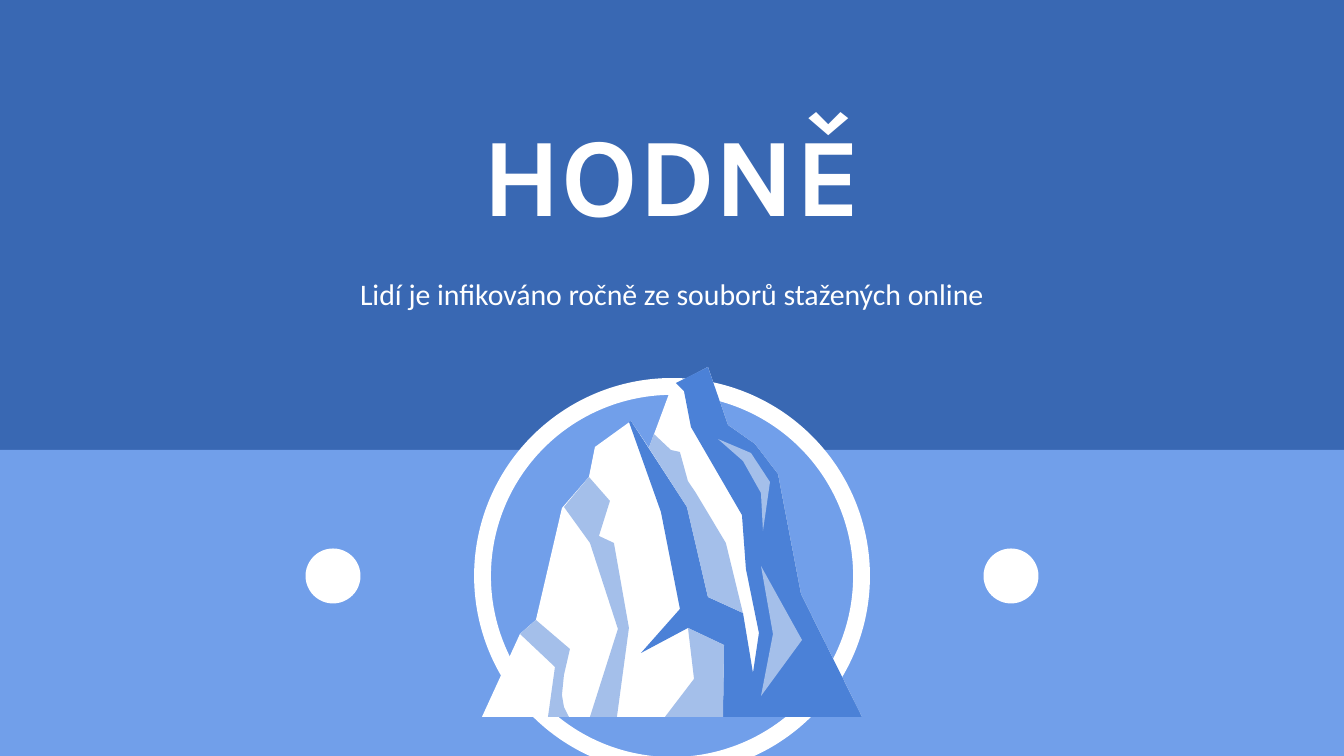
import pptx
import pptx.util
from pptx.dml.color import RGBColor
from pptx.enum.shapes import MSO_SHAPE
from pptx.enum.text import MSO_ANCHOR, MSO_AUTO_SIZE, PP_ALIGN

THEME = {
    "deep": "3968B3", "water": "719FEA", "snow": "FFFFFF",
    "shade": "A4BFEA", "rock": "4B81D7",
    "title": {"name": "Karla", "size": pptx.util.Pt(60), "bold": True},
    "subtitle": {"name": "Calibri", "size": pptx.util.Pt(16), "bold": False},
    "ring": pptx.util.Pt(9),
}
WIDTH, HEIGHT = 1344, 756
SCALE = 9144000 / WIDTH

TITLE = ("HODNĚ", (204, 93, 936, 157))
SUBTITLE = ("Lidí je infikováno ročně ze souborů stažených online",
            (204, 262, 936, 69))
WATERLINE = 450
RING_CENTER, RING_SIZE = (672, 576), 379
DOT_OFFSET, DOT_SIZE = 339, 55

EAST_RIDGE = [(862, 717), (801, 594), (778, 474), (755, 444), (728, 425)]
FACETS = [
    ("snow", [(708, 367), (672, 386), (649, 448), (631, 421), (595, 447),
              (589, 477), (562, 508), (536, 620), (520, 634), (482, 717)]
     + EAST_RIDGE),
    ("shade", [(536, 620), (520, 634), (555, 667), (548, 717), (569, 717),
               (564, 707), (562, 695), (564, 675), (570, 649)]),
    ("shade", [(589, 477), (564, 507), (590, 543), (618, 629), (590, 717),
               (617, 717), (629, 628), (614, 543), (599, 536), (610, 501)]),
    ("rock", [(708, 367), (676, 383), (684, 391), (691, 427), (742, 515),
              (746, 569), (759, 633), (753, 673), (743, 613), (708, 597),
              (687, 507), (631, 421), (629, 422), (661, 512), (680, 609),
              (641, 653), (688, 628), (724, 645), (723, 717)] + EAST_RIDGE),
    ("shade", [(654, 434), (649, 448), (687, 507), (708, 597), (743, 613),
               (726, 543), (696, 493), (688, 481), (680, 452), (671, 450)]),
    ("shade", [(688, 628), (694, 679), (665, 717), (723, 717), (724, 645)]),
    ("shade", [(761, 566), (773, 634), (761, 696), (802, 640)]),
    ("shade", [(718, 439), (743, 461), (761, 493), (763, 531), (770, 482),
               (751, 453)]),
]


def px(n):
    return round(n * SCALE)


def color(name):
    return RGBColor.from_string(THEME[name])


def paint(sp, fill):
    sp.shadow.inherit = False
    sp.fill.solid()
    sp.fill.fore_color.rgb = color(fill)
    sp.line.fill.background()
    return sp


def add_shape(shapes, kind, box, fill):
    return paint(shapes.add_shape(kind, *map(px, box)), fill)


def add_circle(shapes, x, y, size, fill):
    box = (x - size / 2, y - size / 2, size, size)
    return add_shape(shapes, MSO_SHAPE.OVAL, box, fill)


def add_facet(shapes, fill, points):
    builder = shapes.build_freeform(*points[0], scale=SCALE)
    builder.add_line_segments(points[1:], close=True)
    paint(builder.convert_to_shape(), fill)


def write(sp, text, box, style, anchor):
    for name, value in zip(("left", "top", "width", "height"), box):
        setattr(sp, name, px(value))
    tf = sp.text_frame
    frame = {"word_wrap": True, "auto_size": MSO_AUTO_SIZE.NONE,
             "vertical_anchor": anchor}
    for side in ("left", "top", "right", "bottom"):
        frame["margin_" + side] = pptx.util.Inches(0.1)
    for name, value in frame.items():
        setattr(tf, name, value)
    p = tf.paragraphs[0]
    p.alignment = PP_ALIGN.CENTER
    r = p.add_run()
    r.text = text
    for name, value in THEME[style].items():
        setattr(r.font, name, value)
    r.font.color.rgb = color("snow")


def main():
    prs = pptx.Presentation()
    prs.slide_width, prs.slide_height = px(WIDTH), px(HEIGHT)
    s = prs.slides.add_slide(prs.slide_layouts[5])
    s.background.fill.solid()
    s.background.fill.fore_color.rgb = color("deep")

    add_shape(s.shapes, MSO_SHAPE.RECTANGLE,
              (0, WATERLINE, WIDTH, HEIGHT - WATERLINE), "water")
    write(s.shapes.title, *TITLE, "title", MSO_ANCHOR.MIDDLE)
    subtitle = s.shapes.add_textbox(0, 0, 0, 0)
    write(subtitle, *SUBTITLE, "subtitle", MSO_ANCHOR.TOP)

    x, y = RING_CENTER
    iceberg = s.shapes.add_group_shape().shapes
    ring = add_circle(iceberg, x, y, RING_SIZE, "water")
    ring.line.color.rgb = color("snow")
    ring.line.width = THEME["ring"]
    for fill, points in FACETS:
        add_facet(iceberg, fill, points)
    for side in (-1, 1):
        add_circle(s.shapes, x + side * DOT_OFFSET, y, DOT_SIZE, "snow")

    prs.save("out.pptx")


if __name__ == "__main__":
    main()
